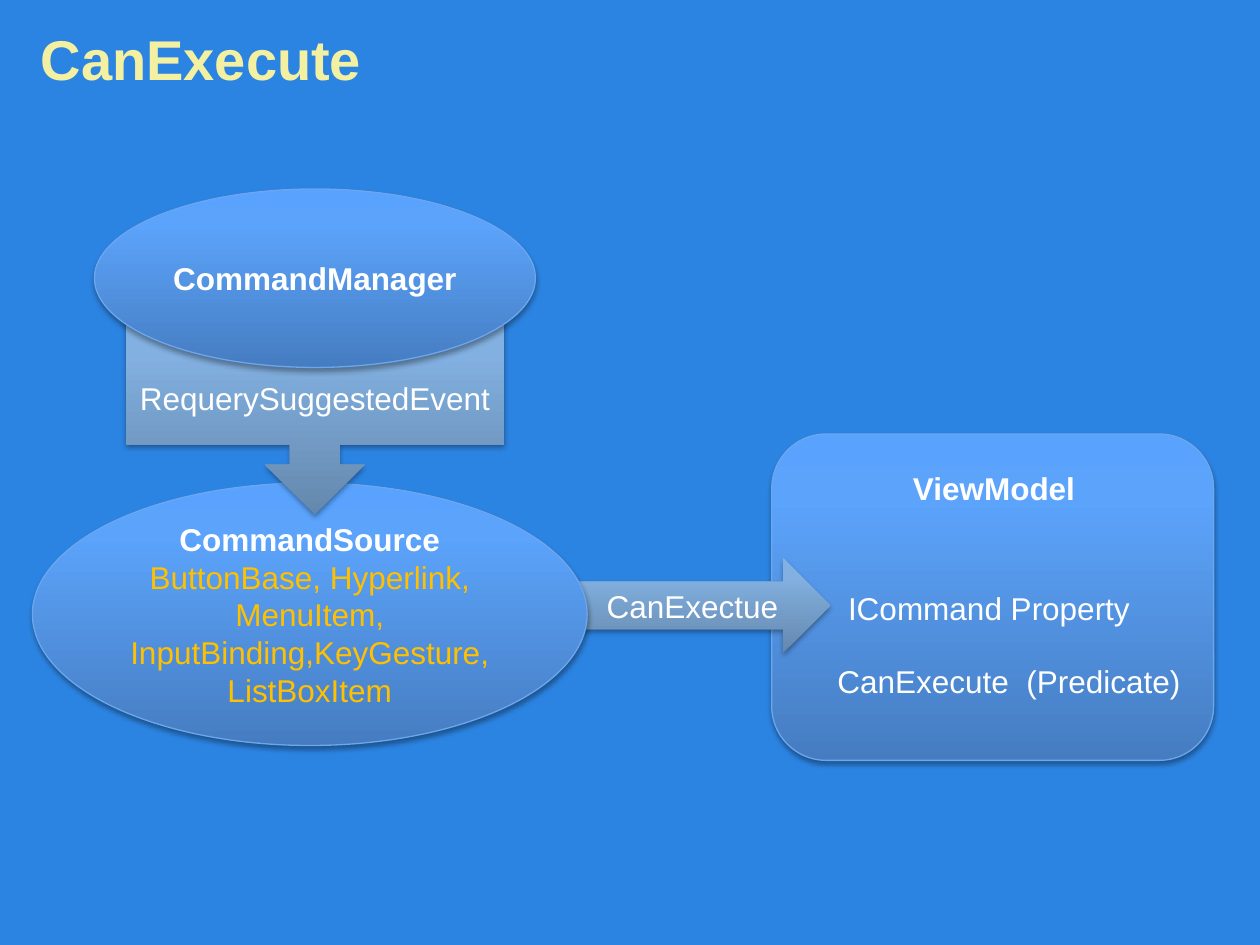
"""Builds the CanExecute slide: command manager, command source and view model."""
from copy import deepcopy

from lxml import etree
from pptx import Presentation
from pptx import util as u
from pptx.dml import color
from pptx.enum import shapes, text
from pptx.oxml import ns

FONT = "Arial"
WHITE, GOLD, YELLOW, BACKGROUND = "FFFFFF", "FFC000", "F3F0A1", "2C84E2"
TITLE = ("CanExecute", (16, 14.4, 688, 37.6))
KIND = shapes.MSO_SHAPE
STOPS = (0, 0.8, 1)
NODE = {"stops": ("467DC1", "5BA3FB", "59A3FF"), "line": "6BA6EE"}
FLOW = {"stops": ("6488AD", "82B0E0", "80B1E3"), "line": None}

VIEW_MODEL = (KIND.ROUNDED_RECTANGLE, NODE, (441, 248, 252.5, 186.5), [], 3.6)
LABELS = [
    ("ViewModel", (448, 264.5, 240, 29), True, text.PP_ALIGN.CENTER),
    ("ICommand Property", (477.5, 333, 192, 29), False, text.PP_ALIGN.LEFT),
    ("CanExecute  (Predicate)", (471.5, 375, 216, 29), False, text.PP_ALIGN.LEFT),
]
COMMANDS = [
    (KIND.RIGHT_ARROW, FLOW, (330.5, 319, 144, 54),
     [("CanExectue", WHITE, False)], 3.6),
    (KIND.OVAL, NODE, (18.5, 276, 317, 150),
     [("CommandSource", WHITE, True),
      ("ButtonBase, Hyperlink, MenuItem, InputBinding,KeyGesture, ListBoxItem",
       GOLD, False)], 3.6),
    (KIND.DOWN_ARROW_CALLOUT, FLOW, (72, 180, 216, 114),
     [("RequerySuggestedEvent", WHITE, False)], 24.3),
    (KIND.OVAL, NODE, (54, 108, 252, 102),
     [("CommandManager", WHITE, True)], 3.6),
]


def rgb(value):
    return color.RGBColor.from_string(value)


def points(box):
    return [u.Pt(length) for length in box]


def write(para, words, size, fill, bold, align):
    para.text = words
    para.alignment = align
    para.font.name, para.font.size, para.font.bold = FONT, u.Pt(size), bold
    para.font.color.rgb = rgb(fill)


def shade(shape, stops):
    shape.fill.gradient()
    shape.fill.gradient_angle = 90
    stop_list = shape._element.spPr.find(".//" + ns.qn("a:gsLst"))
    stop_list.append(deepcopy(stop_list[-1]))
    for stop, position, value in zip(shape.fill.gradient_stops, STOPS, stops):
        stop.position = position
        stop.color.rgb = rgb(value)


def cast_shadow(shape):
    shape.shadow.inherit = False
    effects = shape._element.spPr.find(ns.qn("a:effectLst"))
    shadow = etree.SubElement(
        effects, ns.qn("a:outerShdw"), blurRad=str(u.Pt(3.1)),
        dist=str(u.Pt(1.8)), dir="5400000", rotWithShape="0")
    black = etree.SubElement(shadow, ns.qn("a:srgbClr"), val="000000")
    etree.SubElement(black, ns.qn("a:alpha"), val="35000")


def add_block(page, kind, style, box, lines, top_inset):
    shape = page.shapes.add_shape(kind, *points(box))
    shade(shape, style["stops"])
    if style["line"]:
        shape.line.color.rgb = rgb(style["line"])
        shape.line.width = u.Pt(0.75)
    else:
        shape.line.fill.background()
    cast_shadow(shape)
    frame = shape.text_frame
    frame.vertical_anchor = text.MSO_ANCHOR.MIDDLE
    frame.margin_top = u.Pt(top_inset)
    for index, (words, fill, bold) in enumerate(lines):
        para = frame.add_paragraph() if index else frame.paragraphs[0]
        write(para, words, 18, fill, bold, text.PP_ALIGN.CENTER)


def add_label(page, words, box, bold, align):
    frame = page.shapes.add_textbox(*points(box)).text_frame
    frame.word_wrap = True
    frame.auto_size = text.MSO_AUTO_SIZE.SHAPE_TO_FIT_TEXT
    write(frame.paragraphs[0], words, 18, WHITE, bold, align)


def add_title(page, words, box):
    title = page.shapes.title
    title.left, title.top, title.width, title.height = points(box)
    title.text_frame.vertical_anchor = text.MSO_ANCHOR.MIDDLE
    write(title.text_frame.paragraphs[0], words, 32, YELLOW, True, text.PP_ALIGN.LEFT)


def main():
    deck = Presentation()
    deck.slide_width, deck.slide_height = points((720, 540))
    page = deck.slides.add_slide(deck.slide_layouts[5])
    page.background.fill.solid()
    page.background.fill.fore_color.rgb = rgb(BACKGROUND)
    add_title(page, *TITLE)
    add_block(page, *VIEW_MODEL)
    for label in LABELS:
        add_label(page, *label)
    for block in COMMANDS:
        add_block(page, *block)
    deck.save("out.pptx")


if __name__ == "__main__":
    main()
